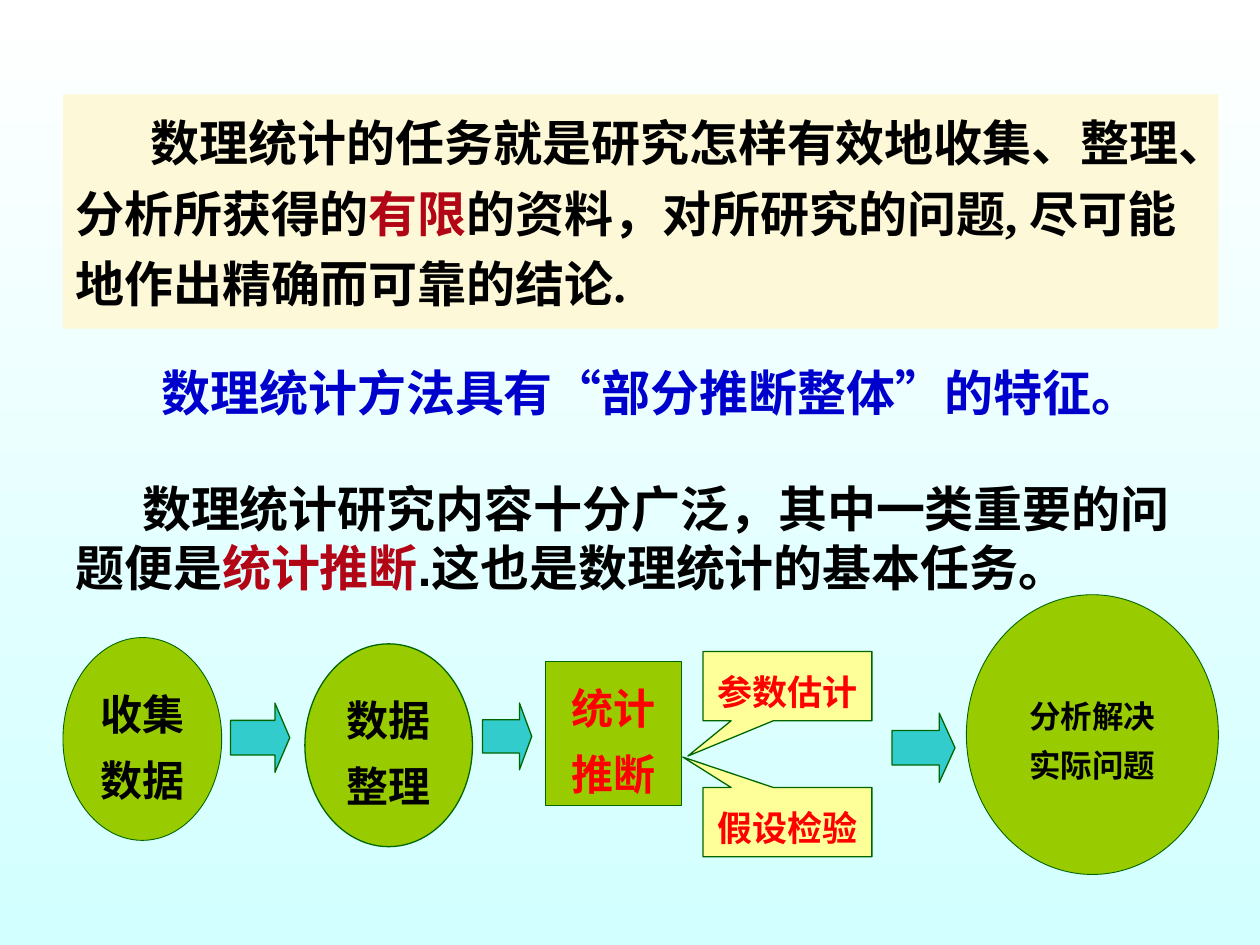
import pptx
import pptx.util
import pptx.dml.color
import pptx.enum.shapes
import pptx.enum.text

Inches = pptx.util.Inches
Pt = pptx.util.Pt
KIND = pptx.enum.shapes.MSO_SHAPE
ALIGN = pptx.enum.text.PP_ALIGN
ANCHOR = pptx.enum.text.MSO_ANCHOR

BLACK, RED, CRIMSON, BLUE = "000000", "FF0000", "B20616", "0000CC"
GREEN, YELLOW, TEAL, EDGE = "99CC00", "FFFF99", "33CCCC", "006600"


def rgb(color):
    return pptx.dml.color.RGBColor.from_string(color)


def style(run, size, color, font):
    run.font.size = Pt(size)
    run.font.bold = True
    run.font.name = font
    run.font.color.rgb = rgb(color)


deck = pptx.Presentation()
deck.slide_width, deck.slide_height = Inches(10), Inches(7.5)
slide = deck.slides.add_slide(deck.slide_layouts[6])

# Background
back = slide.background.fill
back.gradient()
back.gradient_angle = 270
for stop, color in zip(back.gradient_stops, ("FFFFFF", "D2FFFF")):
    stop.color.rgb = rgb(color)

# Running text: place, fill, font, alignment, line spacing, indent, runs
notes = [
    ((0.5, 0.75, 9.17, 1.86), "FDF8D7", "Times New Roman", ALIGN.LEFT, 1.2, 0.6, [
        ("数理统计的任务就是研究怎样有效地收集、整理、分析所获得的", BLACK),
        ("有限", CRIMSON),
        ("的资料，对所研究的问题, 尽可能地作出精确而可靠的结论.", BLACK)]),
    ((0.5, 3.75, 9, 1.75), None, "Arial", ALIGN.LEFT, 1, 0.53, [
        ("数理统计研究内容十分广泛，其中一类重要的问题便是", BLACK),
        ("统计推断", CRIMSON),
        (".这也是数理统计的基本任务。", BLACK)]),
    ((1, 2.83, 8.33, 0.57), None, "Times New Roman", ALIGN.CENTER, 1, 0, [
        ("数理统计方法具有“部分推断整体”的特征。", BLUE)]),
]
for place, fill, font, align, space, indent, runs in notes:
    box = slide.shapes.add_textbox(*map(Inches, place))
    if fill:
        box.fill.solid()
        box.fill.fore_color.rgb = rgb(fill)
    box.text_frame.word_wrap = True
    para = box.text_frame.paragraphs[0]
    para.alignment = align
    para.line_spacing = space
    para._p.get_or_add_pPr().set("indent", str(Inches(indent)))
    for text, color in runs:
        run = para.add_run()
        run.text = text
        style(run, 28, color, font)

# Flow chart: kind, place, fill, line width, adjustments, text, size, colour
steps = [
    (KIND.OVAL, (0.5, 5.06, 1.26, 1.61), GREEN, 0.5, (), "收集数据", 24, BLACK),
    (KIND.OVAL, (2.42, 5.11, 1.33, 1.61), GREEN, 0.75, (), "数据整理", 24, BLACK),
    (KIND.RECTANGLE, (4.33, 5.25, 1.08, 1.14), GREEN, 0.5, (), "统计\n推断", 24, RED),
    (KIND.RECTANGULAR_CALLOUT, (5.58, 5.17, 1.34, 0.55), YELLOW, 0.75,
     (-0.59, 1.01), "参数估计", 20, RED),
    (KIND.RECTANGULAR_CALLOUT, (5.58, 6.25, 1.34, 0.55), YELLOW, 0.75,
     (-0.62, -0.94), "假设检验", 20, RED),
    (KIND.OVAL, (7.67, 4.72, 2, 2.22), GREEN, 0.5, (), "分析解决\n实际问题", 18, BLACK),
]
arrows = [(1.83, 5.58, 0.47, 0.55), (3.83, 5.58, 0.39, 0.53), (7.08, 5.66, 0.5, 0.55)]
steps += [(KIND.RIGHT_ARROW, place, TEAL, 0.75, (0.5, 0.25), "", 0, BLACK)
          for place in arrows]
for kind, place, fill, width, adjust, text, size, color in steps:
    shape = slide.shapes.add_shape(kind, *map(Inches, place))
    shape.shadow.inherit = False
    shape.fill.solid()
    shape.fill.fore_color.rgb = rgb(fill)
    shape.line.color.rgb = rgb(EDGE)
    shape.line.width = Pt(width)
    for i, value in enumerate(adjust):
        shape.adjustments[i] = value
    if not text:
        continue
    frame = shape.text_frame
    frame.text = text
    frame.word_wrap = True
    frame.vertical_anchor = ANCHOR.TOP if fill == YELLOW else ANCHOR.MIDDLE
    for para in frame.paragraphs:
        para.alignment = ALIGN.CENTER
        para.line_spacing = 1.3
        style(para.runs[0], size, color, "Arial")

deck.save("out.pptx")
